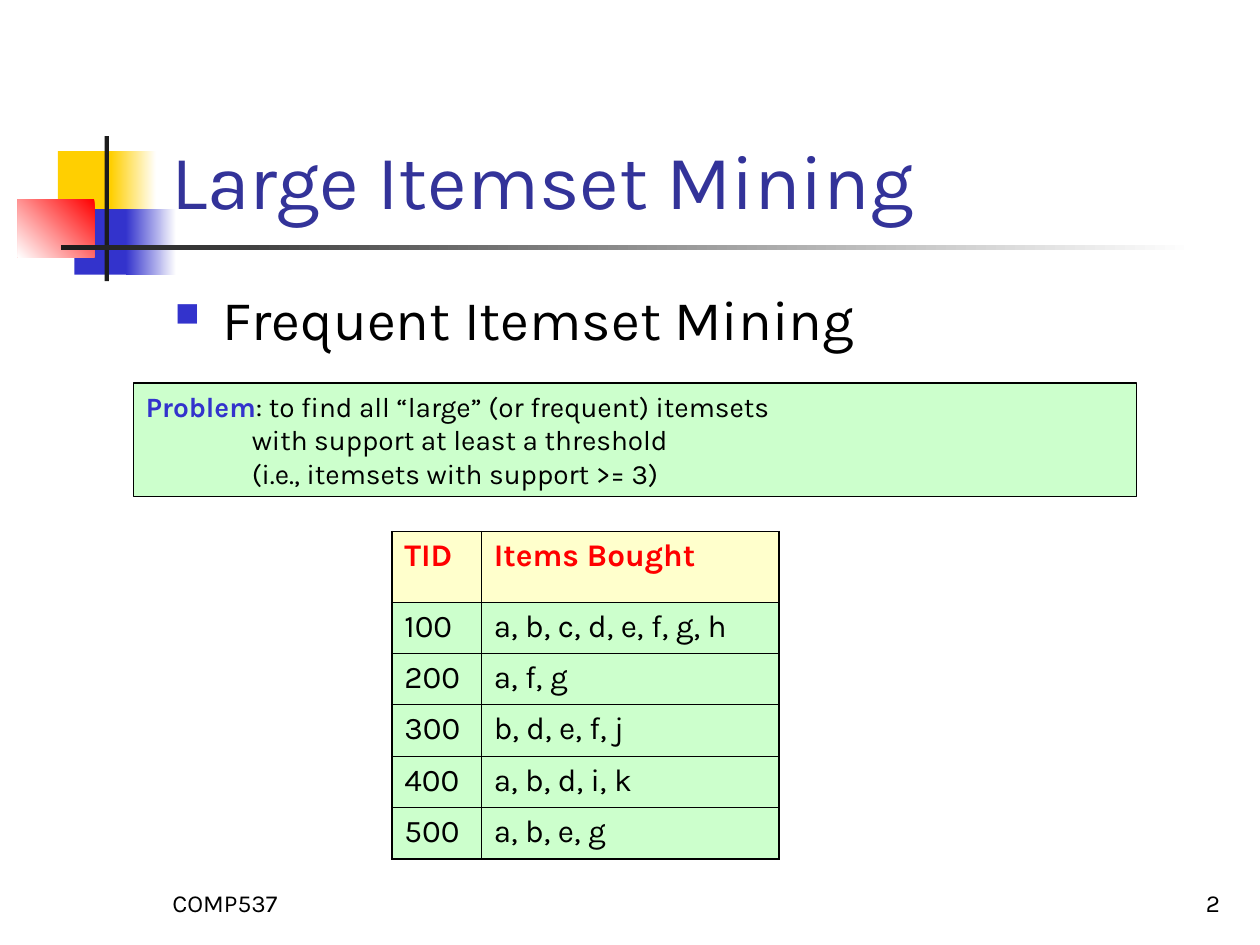
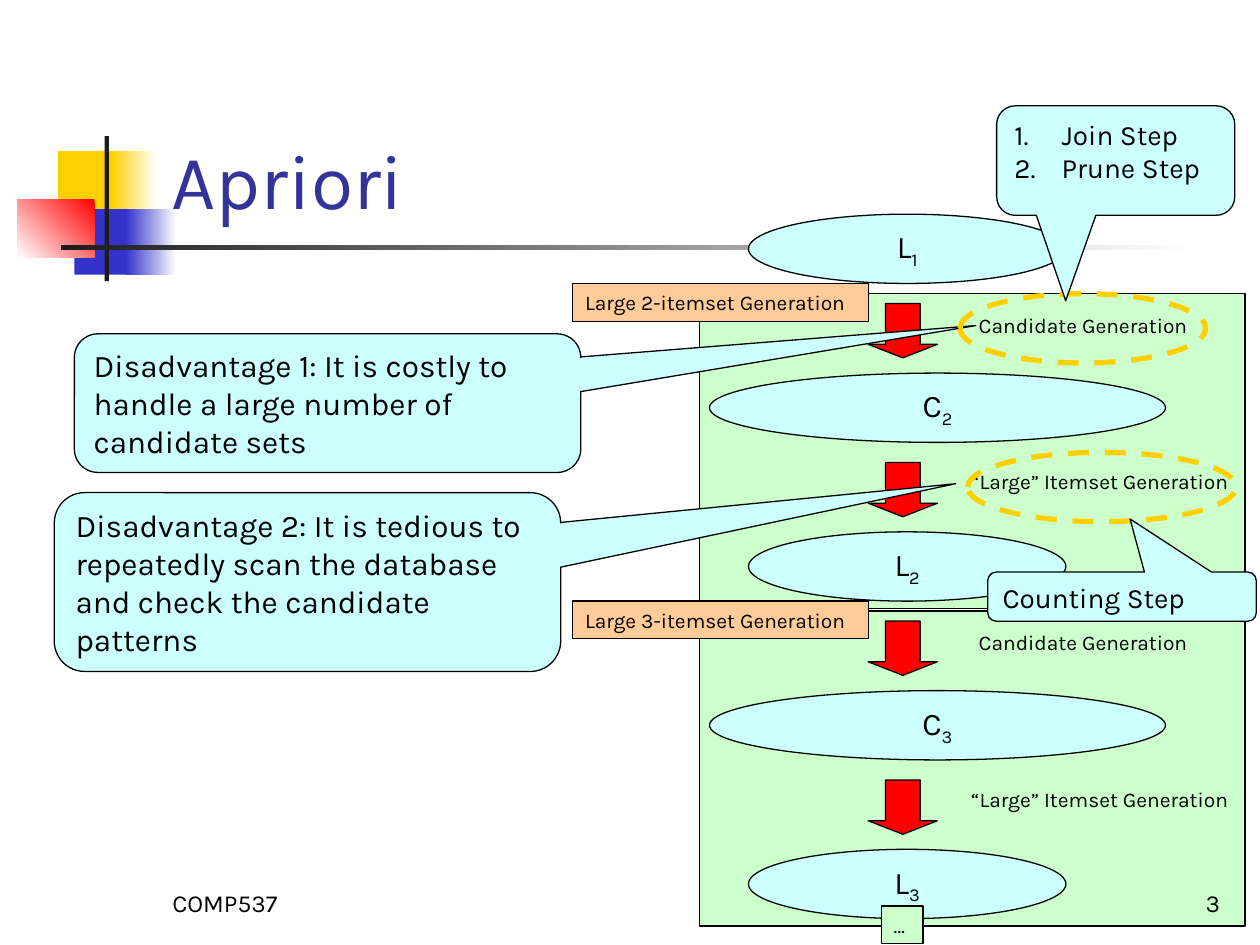
import dataclasses

import lxml.etree
import pptx
import pptx.dml.color
import pptx.enum.dml
import pptx.enum.shapes
import pptx.enum.text
import pptx.oxml.ns
import pptx.util

Pt = pptx.util.Pt
KIND = pptx.enum.shapes.MSO_SHAPE
ANCHOR = pptx.enum.text.MSO_ANCHOR
ALIGN = pptx.enum.text.PP_ALIGN


@dataclasses.dataclass(frozen=True)
class Theme:
    face: str = "Karla"
    black: str = "000000"
    white: str = "FFFFFF"
    ink: str = "1C1C1C"
    navy: str = "333399"
    blue: str = "3333CC"
    gold: str = "FFCF01"
    red: str = "FF0000"
    green: str = "CCFFCC"
    cyan: str = "CCFFFF"
    cream: str = "FFFFCC"
    peach: str = "FFCC99"
    title: int = 44
    body: int = 32
    main: int = 18
    note: int = 16
    foot: int = 14
    label: int = 12
    thin: float = 0.75
    inner: float = 0.45
    outer: float = 1.08
    dash: float = 3


THEME = Theme()
HANG = 27
PHASE = 181.44  # height of one pass of the algorithm


def rgb(code):
    return pptx.dml.color.RGBColor.from_string(code)


def assign(target, values):
    for name, value in values.items():
        setattr(target, name, value)


def child(parent, tag, **attrs):
    node = lxml.etree.SubElement(parent, pptx.oxml.ns.qn(tag))
    for name, value in attrs.items():
        node.set(name, str(value))
    return node


def indent(para, left, first=0):
    props = para._p.get_or_add_pPr()
    props.set("marL", str(Pt(left)))
    props.set("indent", str(Pt(first)))
    return props


def bullet(para, color, size, tag, **attrs):
    props = indent(para, HANG, -HANG)
    child(child(props, "a:buClr"), "a:srgbClr", val=color)
    child(props, "a:buSzPct", val=size * 1000)
    child(props, tag, **attrs)


def write(frame, lines, size, color=THEME.black, bold=False,
          align=ALIGN.LEFT, anchor=ANCHOR.TOP):
    """Fill a frame; a line is a text or a list of (text, changes) runs."""
    assign(frame, {"word_wrap": True, "vertical_anchor": anchor})
    for index, line in enumerate(lines):
        para = frame.add_paragraph() if index else frame.paragraphs[0]
        para.alignment = align
        for words, changes in [(line, {})] if isinstance(line, str) else line:
            look = {"color": color, "bold": bold, "sub": False, **changes}
            run = para.add_run()
            run.text = words
            assign(run.font, {"name": THEME.face, "size": Pt(size), "bold": look["bold"]})
            run.font.color.rgb = rgb(look["color"])
            if look["sub"]:
                run._r.get_or_add_rPr().set("baseline", "-25000")
    return frame.paragraphs


def text(slide, at, lines, size, **look):
    box = slide.shapes.add_textbox(*map(Pt, at))
    return write(box.text_frame, lines, size, **look)


def shape(slide, kind, at, fill=None, line=THEME.black, width=THEME.thin, adjust=()):
    item = slide.shapes.add_shape(kind, *map(Pt, at))
    item.shadow.inherit = False
    if fill:
        item.fill.solid()
        item.fill.fore_color.rgb = rgb(fill)
    else:
        item.fill.background()
    if line:
        item.line.color.rgb = rgb(line)
        item.line.width = Pt(width)
    else:
        item.line.fill.background()
    for index, value in enumerate(adjust):
        item.adjustments[index] = value
    return item


def fade(slide, at, color, angle=0):
    """Draw a block that runs from a colour to white."""
    fill = shape(slide, KIND.RECTANGLE, at, line=None).fill
    fill.gradient()
    fill.gradient_angle = angle
    for stop, code in zip(fill.gradient_stops, (color, THEME.white)):
        stop.color.rgb = rgb(code)


def label(slide, at, words, fill):
    box = shape(slide, KIND.RECTANGLE, at, fill)
    write(box.text_frame, [words], THEME.label)


def node(slide, at, letter, index):
    oval = shape(slide, KIND.OVAL, at, THEME.cyan)
    write(oval.text_frame, [[(letter, {}), (str(index), {"sub": True})]], THEME.main,
          align=ALIGN.CENTER, anchor=ANCHOR.MIDDLE)


def arrow(slide, top):
    item = shape(slide, KIND.RIGHT_ARROW, (500.4, top, 31, 39.6), THEME.red,
                 adjust=(0.5, 0.25))
    item.rotation = 90


def ring(slide, at):
    item = shape(slide, KIND.OVAL, at, line=THEME.gold, width=THEME.dash)
    item.line.dash_style = pptx.enum.dml.MSO_LINE.DASH


def callout(slide, at, tip, lines, size, **look):
    item = shape(slide, KIND.ROUNDED_RECTANGULAR_CALLOUT, at, THEME.cyan,
                 adjust=(*tip, 0.17))
    return write(item.text_frame, lines, size, **look)


def border(cell, row, col, rows, cols):
    """Rule a cell, with heavier lines on the rim of the table."""
    props = cell._tc.get_or_add_tcPr()
    rims = {"a:lnL": col == 0, "a:lnR": col == cols - 1,
            "a:lnT": row == 0, "a:lnB": row == rows - 1}
    for tag, rim in rims.items():
        line = child(props, tag, w=Pt(THEME.outer if rim else THEME.inner))
        child(child(line, "a:solidFill"), "a:srgbClr", val=THEME.black)


def table(slide, at, data, widths, heights):
    size = len(data), len(data[0])
    grid = slide.shapes.add_table(*size, *map(Pt, at)).table
    assign(grid, {"first_row": False, "horz_banding": False})
    for col, width in zip(grid.columns, widths):
        col.width = Pt(width)
    for row, height in zip(grid.rows, heights):
        row.height = Pt(height)
    for r, values in enumerate(data):
        for c, value in enumerate(values):
            cell = grid.cell(r, c)
            border(cell, r, c, *size)
            cell.fill.solid()
            cell.fill.fore_color.rgb = rgb(THEME.green if r else THEME.cream)
            write(cell.text_frame, [value], THEME.main, bold=r == 0,
                  color=THEME.black if r else THEME.red)


def start(deck, title):
    """Add a slide with the corner blocks and its title."""
    slide = deck.slides.add_slide(deck.slide_layouts[6])
    block = KIND.RECTANGLE
    shape(slide, block, (33.1, 86.4, 34.6, 37.4), THEME.gold, None)
    fade(slide, (63.4, 86.4, 25.9, 37.4), THEME.gold)
    shape(slide, block, (42.5, 119.5, 33.1, 37.4), THEME.blue, None)
    fade(slide, (72, 119.5, 28.8, 37.4), THEME.blue)
    fade(slide, (10.1, 113.8, 43.9, 33.1), THEME.red, 225)
    shape(slide, block, (59.8, 77.8, 2.5, 82.8), THEME.ink, None)
    fade(slide, (34.6, 140.2, 648, 2.5), THEME.ink)
    text(slide, (90.7, 16.6, 613.4, 115.2), [title], THEME.title,
         color=THEME.navy, anchor=ANCHOR.BOTTOM)
    return slide


def footer(slide, number):
    for left, words, align in ((554.4, str(number), ALIGN.RIGHT),
                               (91.4, "COMP537", ALIGN.LEFT)):
        text(slide, (left, 491.8, 149.8, 36), [words], THEME.foot,
             align=align, anchor=ANCHOR.BOTTOM)


def mining(deck):
    slide = start(deck, "Large Itemset Mining")
    topic = text(slide, (92.9, 159.1, 612, 324), ["Frequent Itemset Mining"], THEME.body)
    bullet(topic[0], THEME.blue, 60, "a:buChar", char="■")

    box = shape(slide, KIND.RECTANGLE, (76.3, 218.9, 573.1, 64.8), THEME.green)
    lines = write(box.text_frame, [
        [("Problem", {"color": THEME.blue, "bold": True}),
         (": to find all “large” (or frequent) itemsets", {})],
        "with support at least a threshold",
        "(i.e., itemsets with support >= 3)",
    ], THEME.note)
    for line in lines[1:]:
        indent(line, 60.5)

    data = [("TID", "Items Bought"), ("100", "a, b, c, d, e, f, g, h"),
            ("200", "a, f, g"), ("300", "b, d, e, f, j"),
            ("400", "a, b, d, i, k"), ("500", "a, b, e, g")]
    table(slide, (223.9, 303.8, 221.4, 187.2), data, (51.1, 170.3), [40.2] + [29.35] * 5)
    footer(slide, 2)


def phase(slide, top, size):
    """Draw the pass that finds the large itemsets of one size."""
    shape(slide, KIND.RECTANGLE, (399.6, top, 311.8, 180), THEME.green)
    if size == 2:
        node(slide, (427.7, top - 45.4, 181.4, 39.6), "L", 1)
    node(slide, (405.4, top + 45.4, 260.6, 39.6), "C", size)
    node(slide, (427.7, top + 136.1, 181.4, 39.6), "L", size)
    arrow(slide, top + 1.4)
    arrow(slide, top + 92.2)
    text(slide, (552.2, top + 7.2, 138.2, 21.6), ["Candidate Generation"], THEME.label)
    text(slide, (547.9, top + 96.5, 167.8, 21.6), ["“Large” Itemset Generation"], THEME.label)
    label(slide, (327.2, top - 5.8, 169.2, 21.6), f"Large {size}-itemset Generation",
          THEME.peach)


def apriori(deck):
    slide = start(deck, "Apriori")
    for size in (2, 3):
        phase(slide, 167.8 + (size - 2) * PHASE, size)
    label(slide, (503.6, 517.7, 23.8, 21.6), "…", THEME.green)

    callout(slide, (42.5, 190.8, 289.4, 79.2), (1.28, -0.56),
            ["Disadvantage 1: It is costly to handle a large number of candidate sets"],
            THEME.main, anchor=ANCHOR.MIDDLE)
    ring(slide, (548.6, 167.8, 140.4, 39.6))
    ring(slide, (553, 258.5, 153.4, 39.6))
    steps = callout(slide, (569.5, 60.5, 136.1, 62.6), (-0.21, 1.28),
                    ["Join Step", "Prune Step"], THEME.note)
    for step in steps:
        bullet(step, THEME.black, 100, "a:buAutoNum", type="arabicPeriod")
    callout(slide, (564.5, 326.9, 153.4, 28.1), (0.03, -1.58), ["Counting Step"], THEME.note)
    callout(slide, (31, 281.5, 289.4, 102.2), (1.28, -0.55),
            ["Disadvantage 2: It is tedious to repeatedly scan the database "
             "and check the candidate patterns"], THEME.main, anchor=ANCHOR.MIDDLE)
    footer(slide, 3)


def main():
    deck = pptx.Presentation()
    assign(deck, {"slide_width": Pt(720), "slide_height": Pt(540)})
    mining(deck)
    apriori(deck)
    deck.save("out.pptx")


if __name__ == "__main__":
    main()
